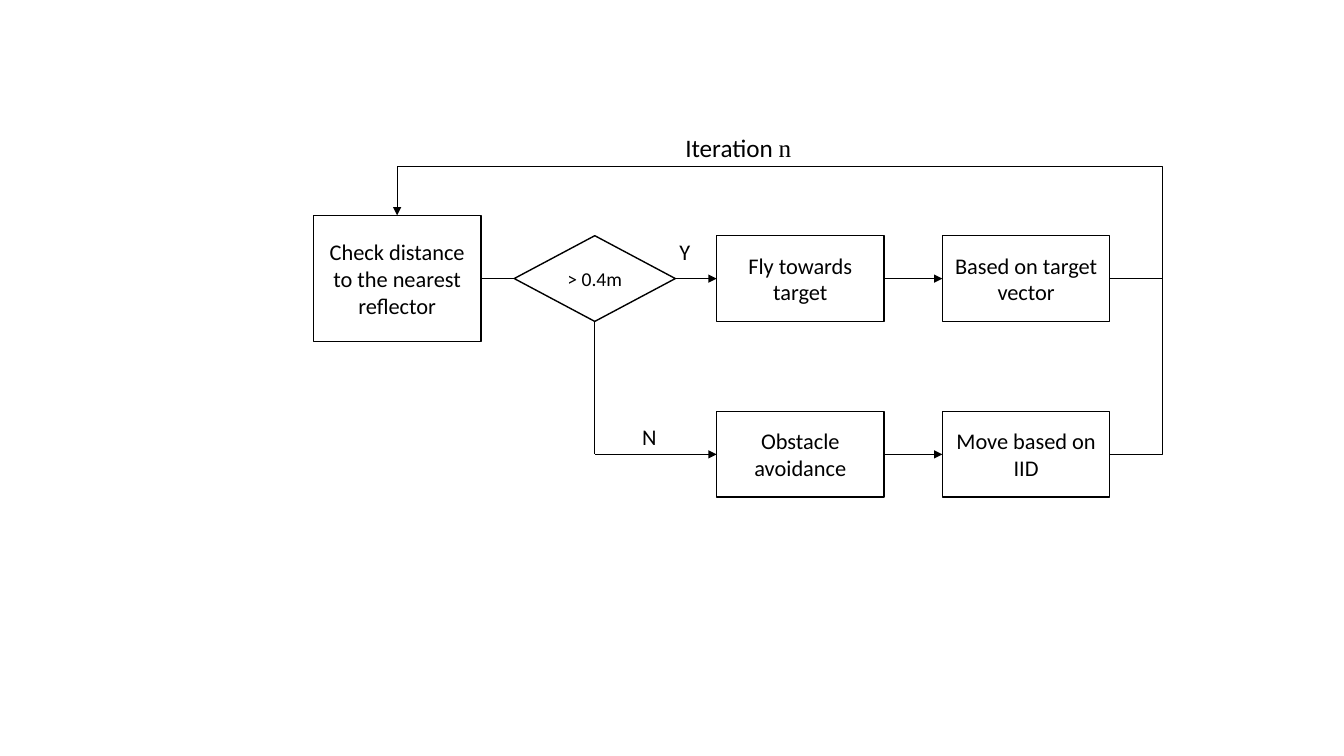
import dataclasses
import lxml.etree
import pptx
import pptx.dml.color
import pptx.enum.shapes
import pptx.enum.text
import pptx.oxml.ns
import pptx.util

Cm = pptx.util.Cm
Pt = pptx.util.Pt
Shape = pptx.enum.shapes.MSO_SHAPE
Connector = pptx.enum.shapes.MSO_CONNECTOR


@dataclasses.dataclass
class Theme:
    ink: str = "000000"
    paper: str = "FFFFFF"
    font: str = "Calibri"
    variable_font: str = "Times New Roman"
    box_size: int = 16
    decision_size: int = 14
    iteration_size: int = 18
    outline: float = 1
    flow: float = 0.5


def add_child(parent, tag, **attributes):
    return lxml.etree.SubElement(parent, pptx.oxml.ns.qn(tag), attributes)


class FlowChart:
    def __init__(self, slide, theme):
        self.slide = slide
        self.theme = theme

    def color(self, value):
        return pptx.dml.color.RGBColor.from_string(value)

    def style_run(self, run, size, font=None):
        run.font.name = font or self.theme.font
        run.font.size = Pt(size)
        run.font.color.rgb = self.color(self.theme.ink)

    def style_line(self, line, width):
        line.color.rgb = self.color(self.theme.ink)
        line.width = Pt(width)

    def node(self, text, center_x, center_y, width, height, kind=Shape.RECTANGLE, size=None):
        shape = self.slide.shapes.add_shape(
            kind, Cm(center_x - width / 2), Cm(center_y - height / 2), Cm(width), Cm(height))
        shape.shadow.inherit = False
        shape.fill.solid()
        shape.fill.fore_color.rgb = self.color(self.theme.paper)
        self.style_line(shape.line, self.theme.outline)
        shape.text_frame.text = text
        shape.text_frame.vertical_anchor = pptx.enum.text.MSO_ANCHOR.MIDDLE
        paragraph = shape.text_frame.paragraphs[0]
        paragraph.alignment = pptx.enum.text.PP_ALIGN.CENTER
        self.style_run(paragraph.runs[0], size or self.theme.box_size)
        return shape

    def label(self, text, left, top, width, height, size, variable=None):
        box = self.slide.shapes.add_textbox(Cm(left), Cm(top), Cm(width), Cm(height))
        box.text_frame.text = text
        box.text_frame.word_wrap = False
        box.text_frame.auto_size = pptx.enum.text.MSO_AUTO_SIZE.SHAPE_TO_FIT_TEXT
        paragraph = box.text_frame.paragraphs[0]
        self.style_run(paragraph.runs[0], size)
        if variable:
            run = paragraph.add_run()
            run.text = variable
            self.style_run(run, size, self.theme.variable_font)

    def line(self, start, end, arrow=False, kind=Connector.STRAIGHT):
        connector = self.slide.shapes.add_connector(
            kind, *(Cm(value) for value in (*start, *end)))
        self.style_line(connector.line, self.theme.flow)
        if arrow:
            add_child(connector.line._get_or_add_ln(), "a:tailEnd", type="triangle")
        add_child(connector._element.spPr, "a:effectLst")
        return connector

    def loop(self, start, end, side_x, top_y):
        connector = self.line(start, end, arrow=True, kind=Connector.ELBOW)
        geometry = connector._element.spPr.find(pptx.oxml.ns.qn("a:prstGeom"))
        geometry.set("prst", "bentConnector4")
        guides = geometry.find(pptx.oxml.ns.qn("a:avLst"))
        ratios = ((side_x - start[0]) / (end[0] - start[0]),
                  (top_y - start[1]) / (end[1] - start[1]))
        for number, ratio in enumerate(ratios, 1):
            add_child(guides, "a:gd", name=f"adj{number}", fmla=f"val {round(ratio * 100000)}")


presentation = pptx.Presentation()
presentation.slide_width = Cm(33.87)
presentation.slide_height = Cm(19.05)
theme = Theme()
chart = FlowChart(presentation.slides.add_slide(presentation.slide_layouts[6]), theme)

BOX_WIDTH, BOX_HEIGHT = 4.22, 2.16
CHECK_HEIGHT, DECISION_WIDTH = 3.18, 4.06
CHECK_X, DECISION_X, ACTION_X, METHOD_X = 10.01, 14.99, 20.17, 25.86
LOOP_X, LOOP_Y = 29.3, 4.2
YES_Y, NO_Y = 7.02, 11.45
HALF = BOX_WIDTH / 2

branches = (
    (YES_Y, "Fly towards target", "Based on target vector"),
    (NO_Y, "Obstacle avoidance", "Move based on IID"),
)
for row_y, action, method in branches:
    chart.node(action, ACTION_X, row_y, BOX_WIDTH, BOX_HEIGHT)
    chart.node(method, METHOD_X, row_y, BOX_WIDTH, BOX_HEIGHT)
    chart.line((ACTION_X + HALF, row_y), (METHOD_X - HALF, row_y), arrow=True)

chart.node("Check distance to the nearest reflector", CHECK_X, YES_Y, BOX_WIDTH, CHECK_HEIGHT)
chart.node("> 0.4m", DECISION_X, YES_Y, DECISION_WIDTH, BOX_HEIGHT,
           Shape.DIAMOND, theme.decision_size)

chart.line((CHECK_X + HALF, YES_Y), (DECISION_X - DECISION_WIDTH / 2, YES_Y))
chart.line((DECISION_X + DECISION_WIDTH / 2, YES_Y), (ACTION_X - HALF, YES_Y), arrow=True)
chart.line((DECISION_X, YES_Y + BOX_HEIGHT / 2), (DECISION_X, NO_Y))
chart.line((DECISION_X, NO_Y), (ACTION_X - HALF, NO_Y), arrow=True)
chart.line((METHOD_X + HALF, YES_Y), (LOOP_X, YES_Y))
chart.loop((METHOD_X + HALF, NO_Y), (CHECK_X, YES_Y - CHECK_HEIGHT / 2), LOOP_X, LOOP_Y)

chart.label("Y", 16.87, 5.87, 0.79, 0.94, theme.box_size)
chart.label("N", 15.93, 10.54, 0.89, 0.94, theme.box_size)
chart.label("Iteration ", 17.02, 3.2, 3.23, 1.02, theme.iteration_size, variable="n")

presentation.save("out.pptx")
